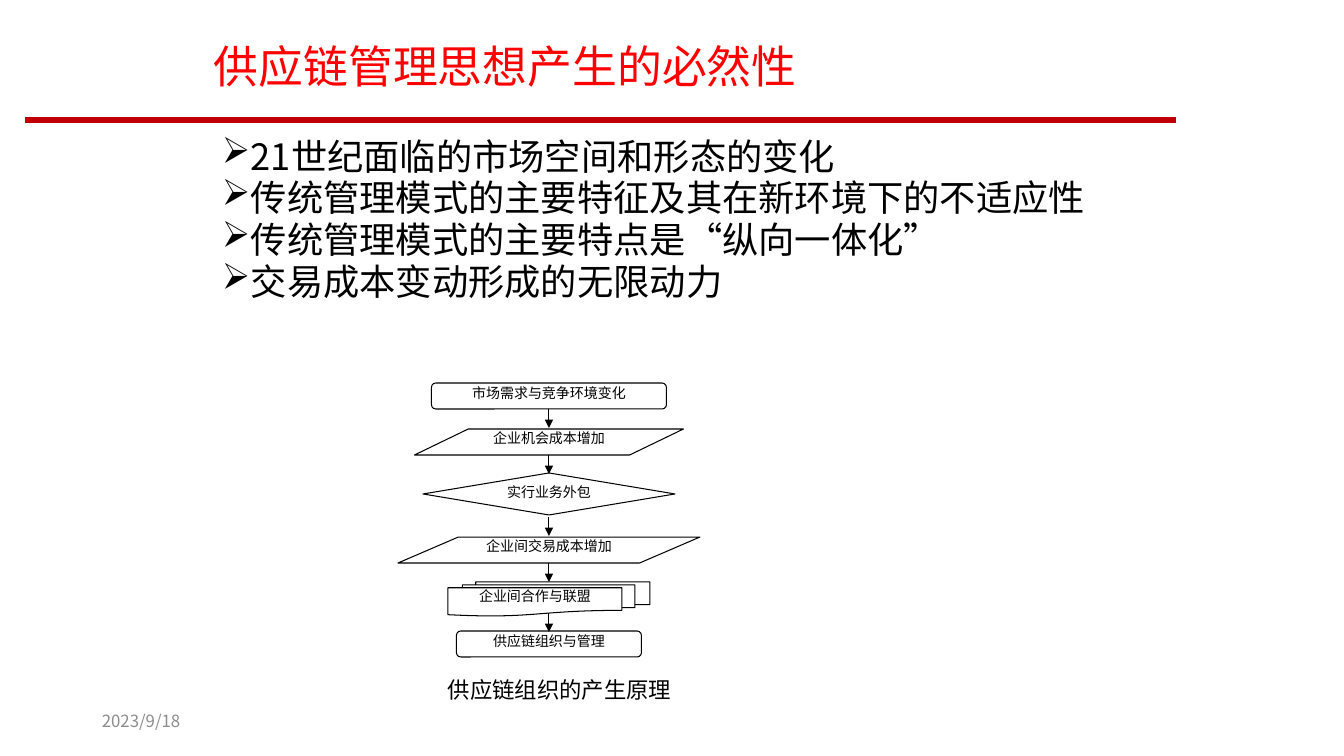
"""Build the slide on why supply chain management had to emerge."""
import pptx
import pptx.util
import pptx.dml.color
import pptx.enum.shapes
import pptx.enum.text
import pptx.oxml.ns
from lxml import etree

SHAPE = pptx.enum.shapes.MSO_SHAPE
ANCHOR = pptx.enum.text.MSO_ANCHOR
ALIGN = pptx.enum.text.PP_ALIGN
qn = pptx.oxml.ns.qn
CJK = "Noto Sans CJK SC"
LATIN = "Calibri"
BLACK, WHITE, RED, DARK_RED, GREY = "000000", "FFFFFF", "FF0000", "C00000", "8C8C8C"

TITLE = "供应链管理思想产生的必然性"
BULLETS = [
    "21世纪面临的市场空间和形态的变化",
    "传统管理模式的主要特征及其在新环境下的不适应性",
    "传统管理模式的主要特点是“纵向一体化”",
    "交易成本变动形成的无限动力",
]
CAPTION = "供应链组织的产生原理"
DATE = "2023/9/18"
STEPS = [
    ("市场需求与竞争环境变化", SHAPE.FLOWCHART_ALTERNATE_PROCESS, 383, 235, 26),
    ("企业机会成本增加", SHAPE.FLOWCHART_DATA, 429, 269, 26),
    ("实行业务外包", SHAPE.FLOWCHART_DECISION, 473, 252, 42),
    ("企业间交易成本增加", SHAPE.FLOWCHART_DATA, 537, 302, 26),
    ("企业间合作与联盟", SHAPE.FLOWCHART_MULTIDOCUMENT, 582, 202, 34),
    ("供应链组织与管理", SHAPE.FLOWCHART_ALTERNATE_PROCESS, 631, 185, 26),
]
ARROW_TOPS = [409, 455, 517, 563, 613]
ARROW_LENGTH = 19
CENTRE = 549


def px(n):
    return pptx.util.Emu(round(n * 914400 / 100.8))


def rgb(code):
    return pptx.dml.color.RGBColor.from_string(code)


def style(p, size, color, font):
    p.font.size = pptx.util.Pt(size)
    p.font.color.rgb = rgb(color)
    p.font.name = font
    etree.SubElement(p.font._element, qn("a:ea"), typeface=CJK)


def add_text(slide, box, lines, size, color, font, anchor=ANCHOR.TOP, wrap=True):
    tf = slide.shapes.add_textbox(*map(px, box)).text_frame
    tf.word_wrap = wrap
    tf.vertical_anchor = anchor
    tf.text = "\n".join(lines)
    for p in tf.paragraphs:
        style(p, size, color, font)
    return tf


def add_bullet(p):
    p.line_spacing = 0.72
    p.space_before = pptx.util.Pt(7.6)
    pPr = p._p.get_or_add_pPr()
    pPr.set("marL", "228600")
    pPr.set("indent", "-228600")
    mark = etree.Element(qn("a:buChar"), char="➢")
    pPr.find(qn("a:defRPr")).addprevious(mark)


def add_line(slide, start, end, color, width, arrow=False):
    sp = slide.shapes.add_connector(
        pptx.enum.shapes.MSO_CONNECTOR.STRAIGHT, *map(px, start + end))
    sp.line.color.rgb = rgb(color)
    sp.line.width = pptx.util.Pt(width)
    if arrow:
        etree.SubElement(sp.line._get_or_add_ln(), qn("a:tailEnd"), type="triangle")
    etree.SubElement(sp._element.spPr, qn("a:effectLst"))


def add_step(slide, text, kind, top, width, height):
    sp = slide.shapes.add_shape(kind, *map(px, (CENTRE - width / 2, top, width, height)))
    sp.shadow.inherit = False
    sp.fill.solid()
    sp.fill.fore_color.rgb = rgb(WHITE)
    sp.line.color.rgb = rgb(BLACK)
    sp.line.width = pptx.util.Pt(0.75)
    tf = sp.text_frame
    tf.margin_left = tf.margin_top = tf.margin_right = tf.margin_bottom = 0
    tf.word_wrap = True
    tf.vertical_anchor = ANCHOR.TOP
    tf.text = text
    p = tf.paragraphs[0]
    p.alignment = ALIGN.CENTER
    style(p, 10, BLACK, LATIN)


prs = pptx.Presentation()
prs.slide_width, prs.slide_height = px(1344), px(756)
slide = prs.slides.add_slide(prs.slide_layouts[6])

title = add_text(slide, (204, 31, 907, 76), [TITLE], 32, RED, CJK, ANCHOR.MIDDLE)
title.paragraphs[0].line_spacing = 0.9
body = add_text(slide, (212, 140, 907, 210), BULLETS, 25.9, BLACK, CJK)
for p in body.paragraphs:
    add_bullet(p)

for step in STEPS:
    add_step(slide, *step)
for top in ARROW_TOPS:
    add_line(slide, (CENTRE, top), (CENTRE, top + ARROW_LENGTH), BLACK, 0.75, arrow=True)

add_text(slide, (438, 671, 247, 37), [CAPTION], 16, BLACK, LATIN, wrap=False)
add_text(slide, (92, 701, 302, 40), [DATE], 12, GREY, CJK, ANCHOR.MIDDLE)
add_line(slide, (25, 120), (1176, 120), DARK_RED, 4.5)

prs.save("out.pptx")
